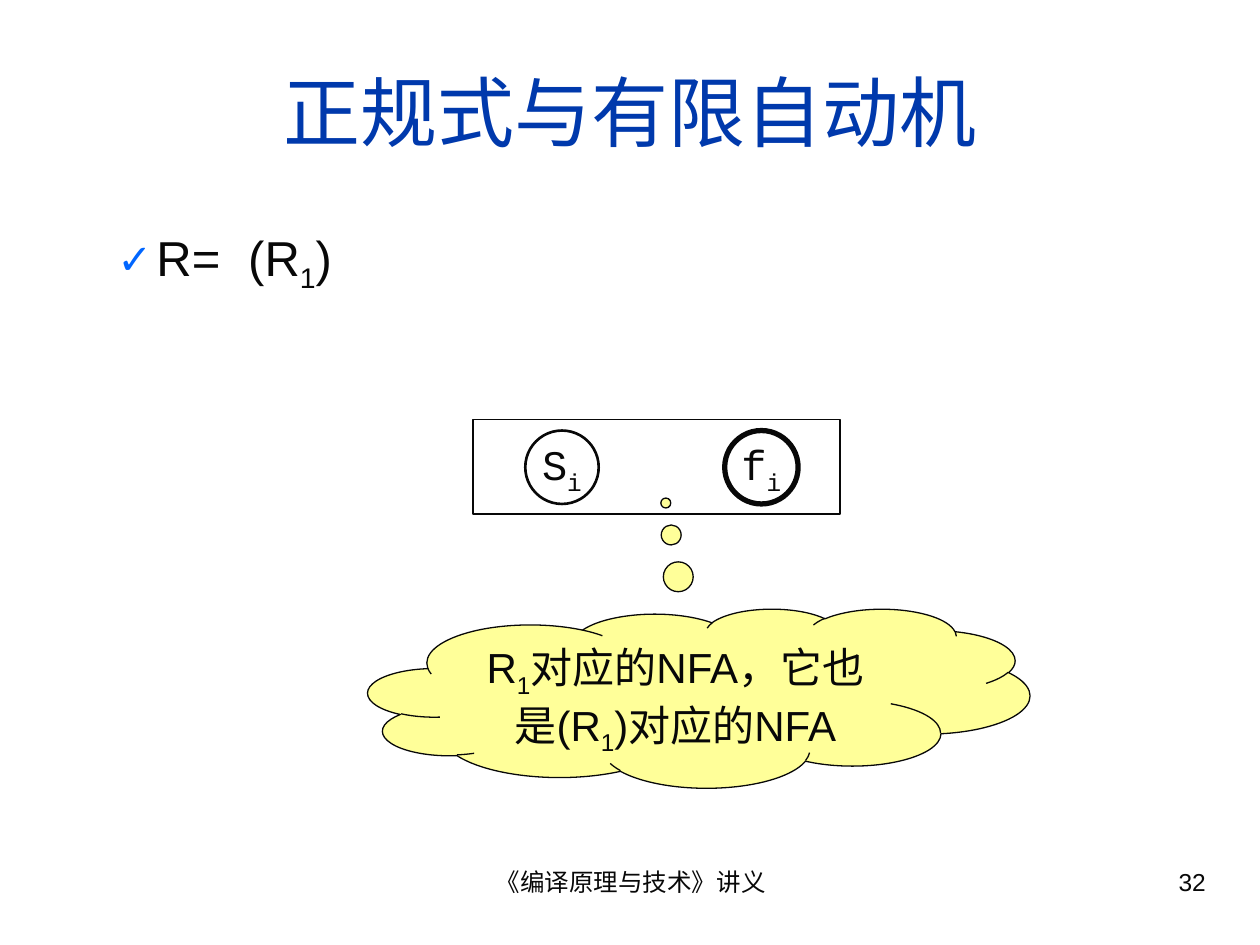
from lxml import etree
from pptx import Presentation, util as u
from pptx.dml.color import RGBColor
from pptx.enum import shapes, text
from pptx.oxml import ns

INK = RGBColor(0x08, 0x08, 0x08)
TITLE_BLUE = RGBColor(0x00, 0x39, 0xAC)
BULLET_BLUE = RGBColor(0x00, 0x66, 0xFF)
CLOUD_YELLOW = RGBColor(0xFF, 0xFF, 0x99)

TITLE = ["正规式与有限自动机"]
RULE = ["R=\t(R", "1", ")"]
STATES = [(["S", "i"], 10.59, 1.5), (["f", "i"], 14.61, 3)]
STATE_TOP, STATE_SIZE = 8.68, 1.48
CLOUD = ["R", "1", "对应的NFA，它也是(R", "1", ")对应的NFA"]
FOOTERS = [
    (["《编译原理与技术》讲义"], 8.69, 8.05, text.PP_ALIGN.CENTER),
    (["32"], 18.21, 6.35, text.PP_ALIGN.RIGHT),
]


def place(box, left, top, width, height):
    box.left, box.top = u.Cm(left), u.Cm(top)
    box.width, box.height = u.Cm(width), u.Cm(height)


def write(box, parts, size, color=INK, align=text.PP_ALIGN.CENTER,
          anchor=text.MSO_ANCHOR.TOP, wrap=True, name="Arial"):
    frame = box.text_frame
    frame.word_wrap = wrap
    frame.auto_size = text.MSO_AUTO_SIZE.NONE
    frame.vertical_anchor = anchor
    para = frame.paragraphs[0]
    para.alignment = align
    para.font.size, para.font.name = u.Pt(size), name
    para.font.color.rgb = color
    for index, part in enumerate(parts):
        span = para.add_run()
        span.text = part
        if index % 2:
            span.font._element.set("baseline", "-25000")
    return para


def add_bullet(para, mark, color, percent, indent, hang, tab):
    props = para._p.get_or_add_pPr()
    props.set("marL", str(u.Cm(indent)))
    props.set("indent", str(-u.Cm(hang)))

    def add(parent, tag, **attributes):
        return etree.SubElement(parent, ns.qn(tag), attributes)

    add(add(props, "a:buClr"), "a:srgbClr", val=str(color))
    add(props, "a:buSzPct", val=str(percent * 1000))
    add(props, "a:buChar", char=mark)
    add(add(props, "a:tabLst"), "a:tab", pos=str(u.Cm(tab)), algn="l")


def add_outline(parent, kind, left, top, width, height, weight, fill=None):
    shape = parent.add_shape(kind, u.Cm(left), u.Cm(top), u.Cm(width), u.Cm(height))
    shape.shadow.inherit = False
    if fill is None:
        shape.fill.background()
    else:
        shape.fill.solid()
        shape.fill.fore_color.rgb = fill
    shape.line.color.rgb = INK
    shape.line.width = u.Pt(weight)
    return shape


deck = Presentation()
deck.slide_width, deck.slide_height = u.Cm(25.4), u.Cm(19.05)
page = deck.slides.add_slide(deck.slide_layouts[1])

title, body = page.placeholders
place(title, 0.84, 0.64, 23.72, 3.18)
write(title, TITLE, 44, TITLE_BLUE, anchor=text.MSO_ANCHOR.MIDDLE)

place(body, 0.84, 4.45, 23.72, 2.11)
rule = body.text_frame.paragraphs[0]
rule.level = 1
add_bullet(rule, "✓", BULLET_BLUE, 85, indent=2.06, hang=0.79, tab=3.91)
write(body, RULE, 28, align=text.PP_ALIGN.LEFT)
rule.space_before = u.Pt(0)

automaton = page.shapes.add_group_shape().shapes
add_outline(automaton, shapes.MSO_SHAPE.RECTANGLE, 9.53, 8.46, 7.41, 1.91, 1)
for label, left, weight in STATES:
    state = add_outline(automaton, shapes.MSO_SHAPE.OVAL, left, STATE_TOP,
                        STATE_SIZE, STATE_SIZE, weight)
    write(state, label, 24, anchor=text.MSO_ANCHOR.MIDDLE, wrap=False,
          name="Courier New")

cloud = add_outline(page.shapes, shapes.MSO_SHAPE.CLOUD_CALLOUT,
                    7.42, 12.27, 13.34, 3.61, 0.75, CLOUD_YELLOW)
cloud.adjustments[0], cloud.adjustments[1] = -0.05, -1.09
write(cloud, CLOUD, 24)

for parts, left, width, align in FOOTERS:
    footer = page.shapes.add_textbox(u.Cm(left), u.Cm(17.35), u.Cm(width), u.Cm(1.32))
    write(footer, parts, 14, align=align)

deck.save("out.pptx")
